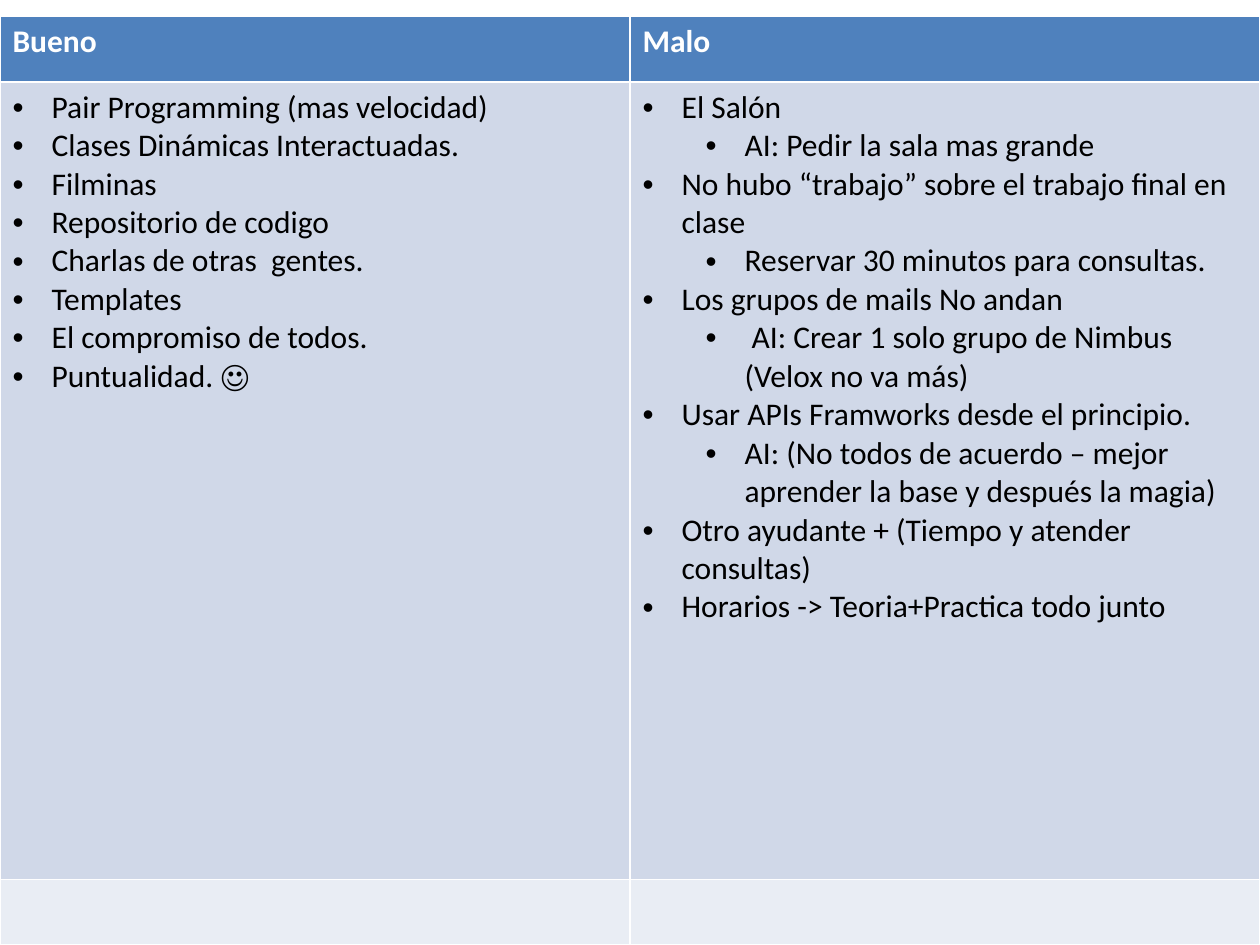
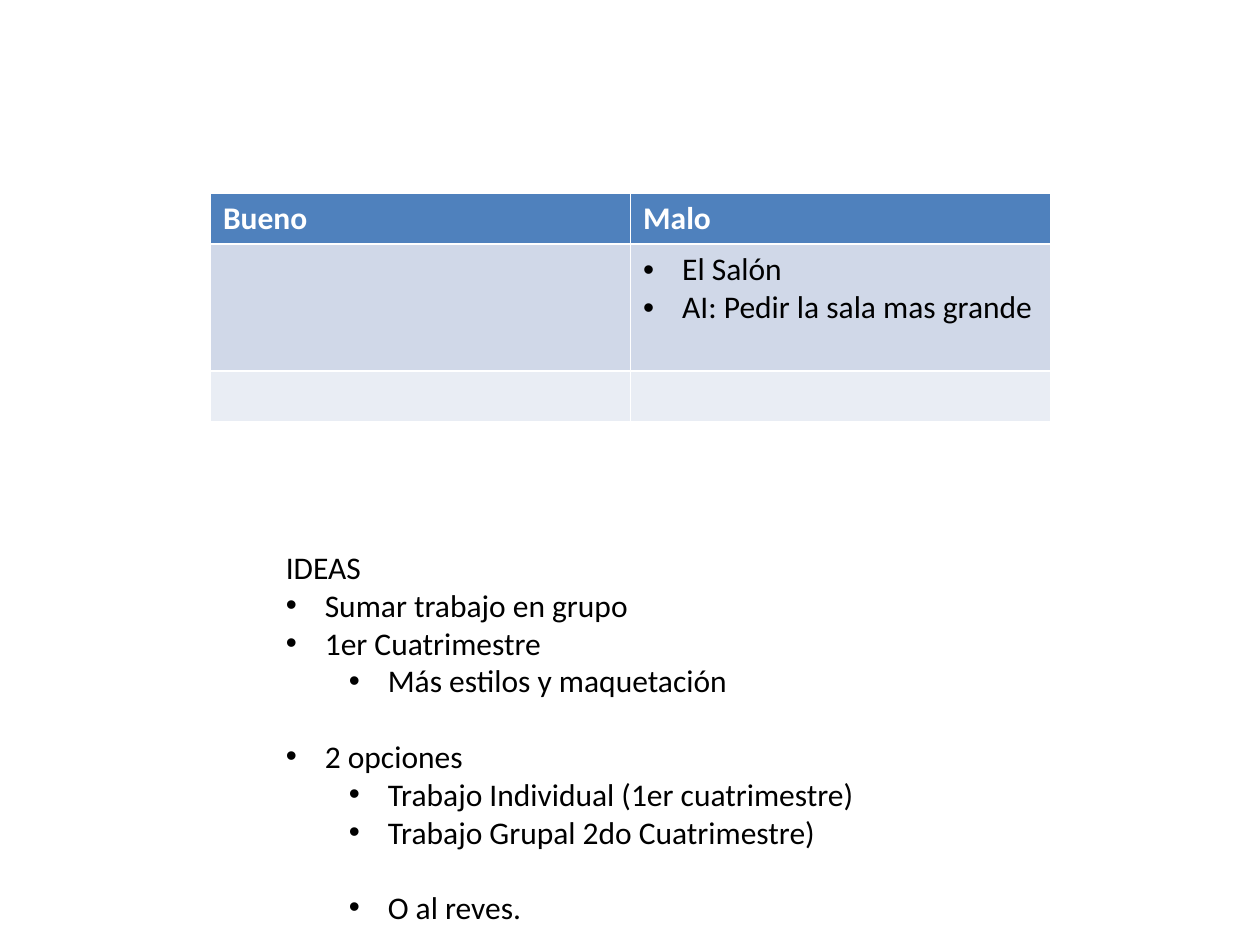
from lxml import etree
from pptx import Presentation
from pptx.dml.color import RGBColor
from pptx.enum import text
from pptx.oxml.ns import qn
from pptx.util import Inches, Pt

# Content: each item is (level, text, gap before in points); level None = no bullet
HEADERS = ("Bueno", "Malo")
GAP = 21.6  # one line of 18 pt text
GOOD = [(0, t, 0) for t in (
    "Pair Programming (mas velocidad)",
    "Clases Dinámicas Interactuadas.",
    "Filminas",
    "Repositorio de codigo",
    "Charlas de otras  gentes.",
    "Templates",
    "El compromiso de todos.",
    "Puntualidad. ☺",
)]
BAD = [
    (0, "El Salón", 0),
    (1, "AI: Pedir la sala mas grande", 0),
    (0, "No hubo “trabajo” sobre el trabajo final en clase", 0),
    (1, "Reservar 30 minutos para consultas.", 0),
    (0, "Los grupos de mails No andan", 0),
    (1, " AI: Crear 1 solo grupo de Nimbus (Velox no va más)", 0),
    (0, "Usar APIs Framworks desde el principio.", 0),
    (1, "AI: (No todos de acuerdo – mejor aprender la base y después la magia)", 0),
    (0, "Otro ayudante + (Tiempo y atender consultas)", 0),
    (0, "Horarios -> Teoria+Practica todo junto", 0),
]
BAD_SHORT = [(0, "El Salón", 0), (0, "AI: Pedir la sala mas grande", 0)]
IDEAS = [
    (None, "IDEAS", 0),
    (0, "Sumar trabajo en grupo", 0),
    (0, "1er Cuatrimestre", 0),
    (1, "Más estilos y maquetación", 0),
    (0, "2 opciones", GAP),
    (1, "Trabajo Individual (1er cuatrimestre)", 0),
    (1, "Trabajo Grupal 2do Cuatrimestre)", 0),
    (1, "O al reves.", GAP),
]

# Shared look
ROW_FILLS = ("4F81BD", "D0D8E8", "E9EDF4")
BODY = {"size": Pt(18), "name": "Calibri", "bold": False}
HEAD = {**BODY, "bold": True}
HANG, STEP = 0.31, 0.5


def rgb(code):
    return RGBColor.from_string(code)


def add_bullet(p, level):
    p.level = level
    pPr = p._p.get_or_add_pPr()
    pPr.set("marL", str(Inches(HANG + STEP * level)))
    pPr.set("indent", str(-Inches(HANG)))
    etree.SubElement(pPr, qn("a:buFont"), typeface="Arial")
    etree.SubElement(pPr, qn("a:buChar"), char="•")


def write(tf, items, fmt=BODY, color="000000"):
    for i, (level, line, gap) in enumerate(items):
        p = tf.add_paragraph() if i else tf.paragraphs[0]
        if gap:
            p.space_before = Pt(gap)
        if level is not None:
            add_bullet(p, level)
        r = p.add_run()
        r.text = line
        for key, value in fmt.items():
            setattr(r.font, key, value)
        r.font.color.rgb = rgb(color)


def add_retro_table(s, left, top, width, heights, columns):
    """Header, one row of lists and an empty closing row."""
    frame = s.shapes.add_table(len(heights), len(HEADERS), Inches(left), Inches(top),
                               Inches(width), Inches(sum(heights)))
    table = frame.table
    for row, height, fill in zip(table.rows, heights, ROW_FILLS):
        row.height = Inches(height)
        for cell in row.cells:
            cell.fill.solid()
            cell.fill.fore_color.rgb = rgb(fill)
    for c, (header, items) in enumerate(zip(HEADERS, columns)):
        write(table.cell(0, c).text_frame, [(None, header, 0)], HEAD, "FFFFFF")
        write(table.cell(1, c).text_frame, items)


prs = Presentation()
prs.slide_width, prs.slide_height = Inches(10), Inches(7.5)
blank = prs.slide_layouts[6]

# Slide 1: full-page table
s = prs.slides.add_slide(blank)
add_retro_table(s, 0, 0.13, 10, (0.52, 6.33, 0.52), (GOOD, BAD))

# Slide 2: small table and ideas
s = prs.slides.add_slide(blank)
add_retro_table(s, 1.67, 1.53, 6.67, (0.4, 1.01, 0.4), ([], BAD_SHORT))
tf = s.shapes.add_textbox(Inches(2.17), Inches(4.3), Inches(4.76), Inches(3.13)).text_frame
tf.word_wrap = False
tf.auto_size = text.MSO_AUTO_SIZE.SHAPE_TO_FIT_TEXT
write(tf, IDEAS)

prs.save("out.pptx")
